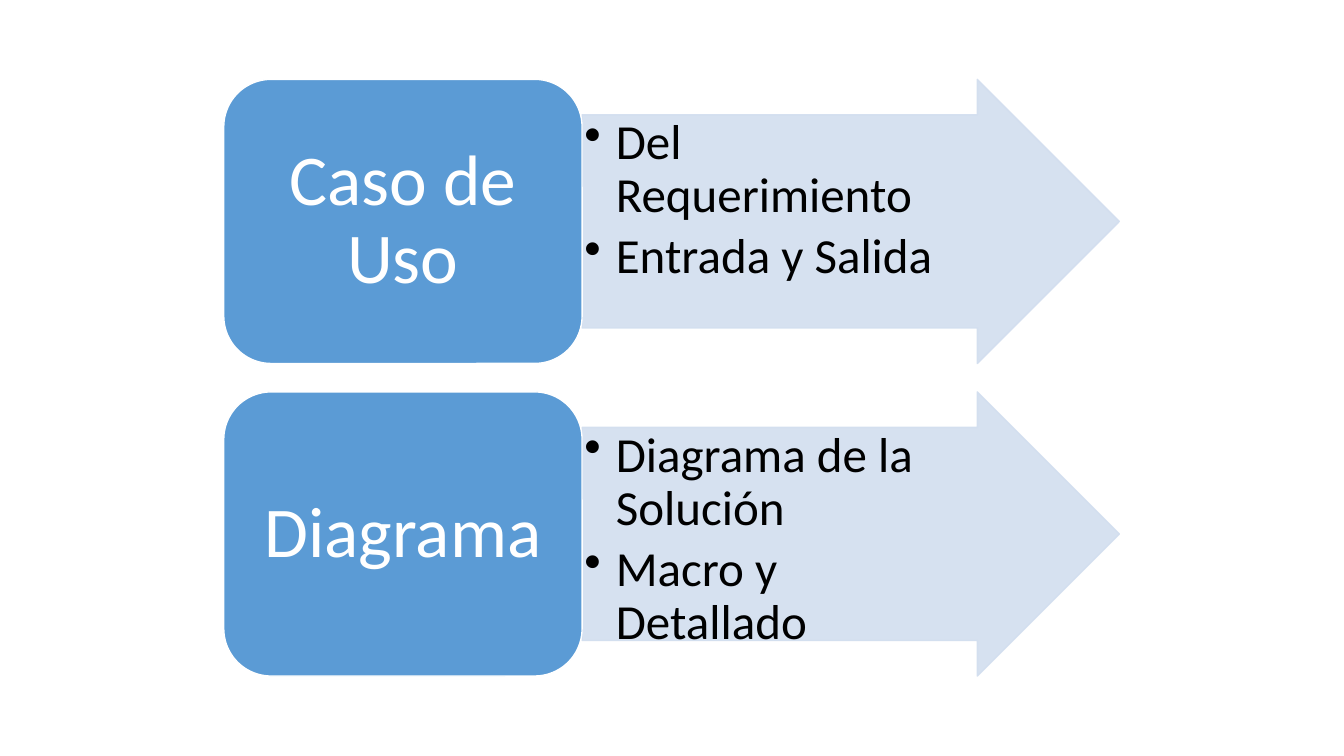
import pptx
import pptx.util
import pptx.dml.color
import pptx.enum.shapes
import pptx.enum.text
import pptx.oxml.ns
import lxml.etree

TOPICS = [
    ("Caso de Uso", ["Del Requerimiento", "Entrada y Salida"]),
    ("Diagrama", ["Diagrama de la Solución", "Macro y Detallado"]),
]
COLORS = {"block": "5B9BD5", "arrow": "D2DEEF", "edge": "FFFFFF",
          "title": "FFFFFF", "detail": "000000"}
FONT = "Calibri"

Cm = pptx.util.Cm
Pt = pptx.util.Pt
SHAPES = pptx.enum.shapes.MSO_SHAPE
ALIGN = pptx.enum.text.PP_ALIGN
ANCHOR = pptx.enum.text.MSO_ANCHOR

LEFT, TOP = 5.64, 2.0
BLOCK_WIDTH, ARROW_WIDTH, HEIGHT = 9.03, 13.54, 7.16
ROW_STEP = HEIGHT * 1.1
INDENT = 0.79


def color(name):
    return pptx.dml.color.RGBColor.from_string(COLORS[name])


def add_child(parent, tag, **attributes):
    return lxml.etree.SubElement(parent, pptx.oxml.ns.qn(tag), attributes)


def add_panel(page, kind, left, top, width, fill, edge, insets, anchor):
    panel = page.shapes.add_shape(kind, Cm(left), Cm(top), Cm(width), Cm(HEIGHT))
    panel.shadow.inherit = False
    panel.fill.solid()
    panel.fill.fore_color.rgb = color(fill)
    panel.line.color.rgb = color(edge)
    panel.line.width = Pt(1)
    frame = panel.text_frame
    frame.word_wrap = True
    frame.vertical_anchor = anchor
    (frame.margin_left, frame.margin_top,
     frame.margin_right, frame.margin_bottom) = map(Cm, insets)
    return panel


def write(panel, lines, size, ink, align, space_after, bullets=False):
    frame = panel.text_frame
    for index, line in enumerate(lines):
        para = frame.add_paragraph() if index else frame.paragraphs[0]
        para.text = line
        para.alignment = align
        para.line_spacing = 0.9
        para.space_after = Pt(space_after)
        if bullets:
            para.level = 1
            properties = para._p.get_or_add_pPr()
            properties.set("marL", str(Cm(INDENT)))
            properties.set("indent", str(-Cm(INDENT)))
            add_child(properties, "a:buChar", char="•")
        para.font.name = FONT
        para.font.size = Pt(size)
        para.font.color.rgb = color(ink)


def add_topic(page, top, title, details):
    arrow = add_panel(page, SHAPES.RIGHT_ARROW, LEFT + BLOCK_WIDTH, top, ARROW_WIDTH,
                      "arrow", "arrow", (0.06, 0.06, 1.83, 0.06), ANCHOR.TOP)
    arrow.adjustments[0] = 0.75
    arrow.adjustments[1] = 0.5
    for tint in arrow._element.spPr.iter(pptx.oxml.ns.qn("a:srgbClr")):
        add_child(tint, "a:alpha", val="90000")
    write(arrow, details, 35, "detail", ALIGN.LEFT, 6, bullets=True)

    block = add_panel(page, SHAPES.ROUNDED_RECTANGLE, LEFT, top, BLOCK_WIDTH,
                      "block", "edge", (0.53, 0.28, 0.53, 0.28), ANCHOR.MIDDLE)
    write(block, [title], 51, "title", ALIGN.CENTER, 0)


def main():
    deck = pptx.Presentation()
    deck.slide_width = Cm(33.87)
    deck.slide_height = Cm(19.05)
    page = deck.slides.add_slide(deck.slide_layouts[6])
    for row, (title, details) in enumerate(TOPICS):
        add_topic(page, TOP + row * ROW_STEP, title, details)
    deck.save("out.pptx")


if __name__ == "__main__":
    main()
